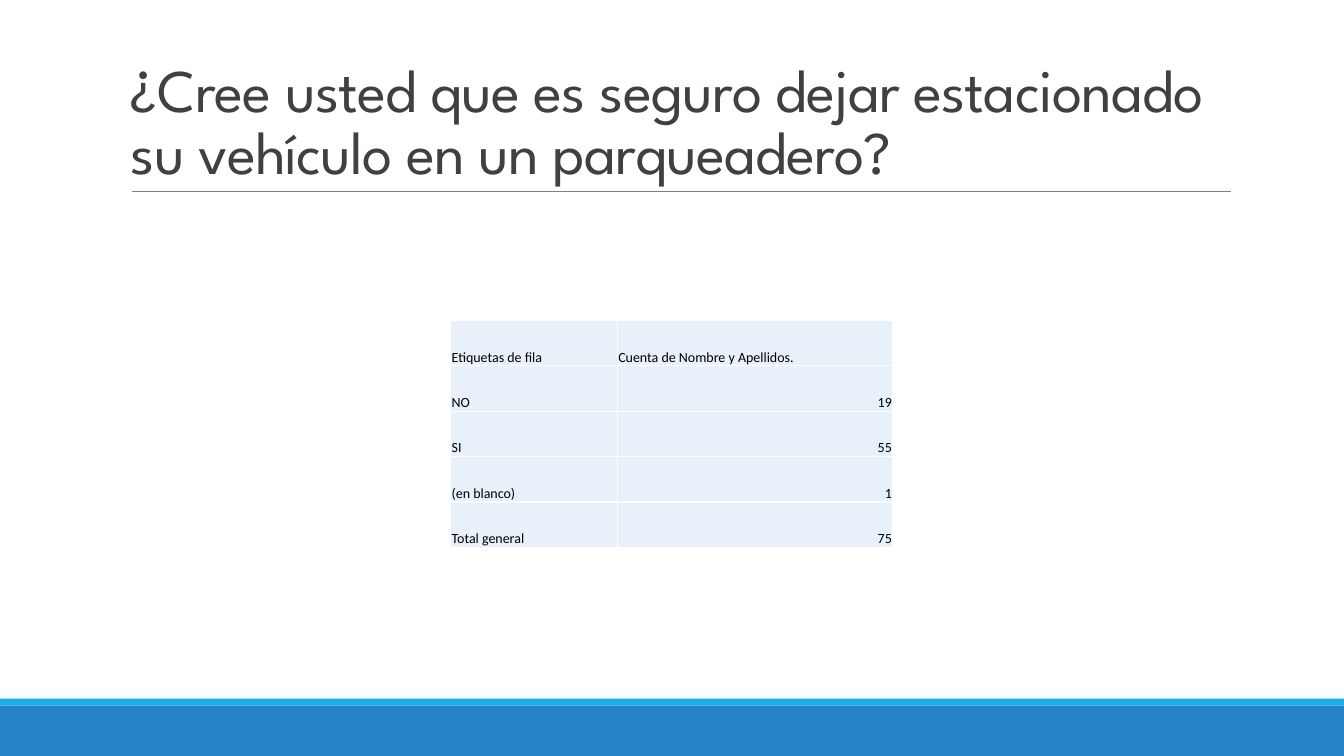
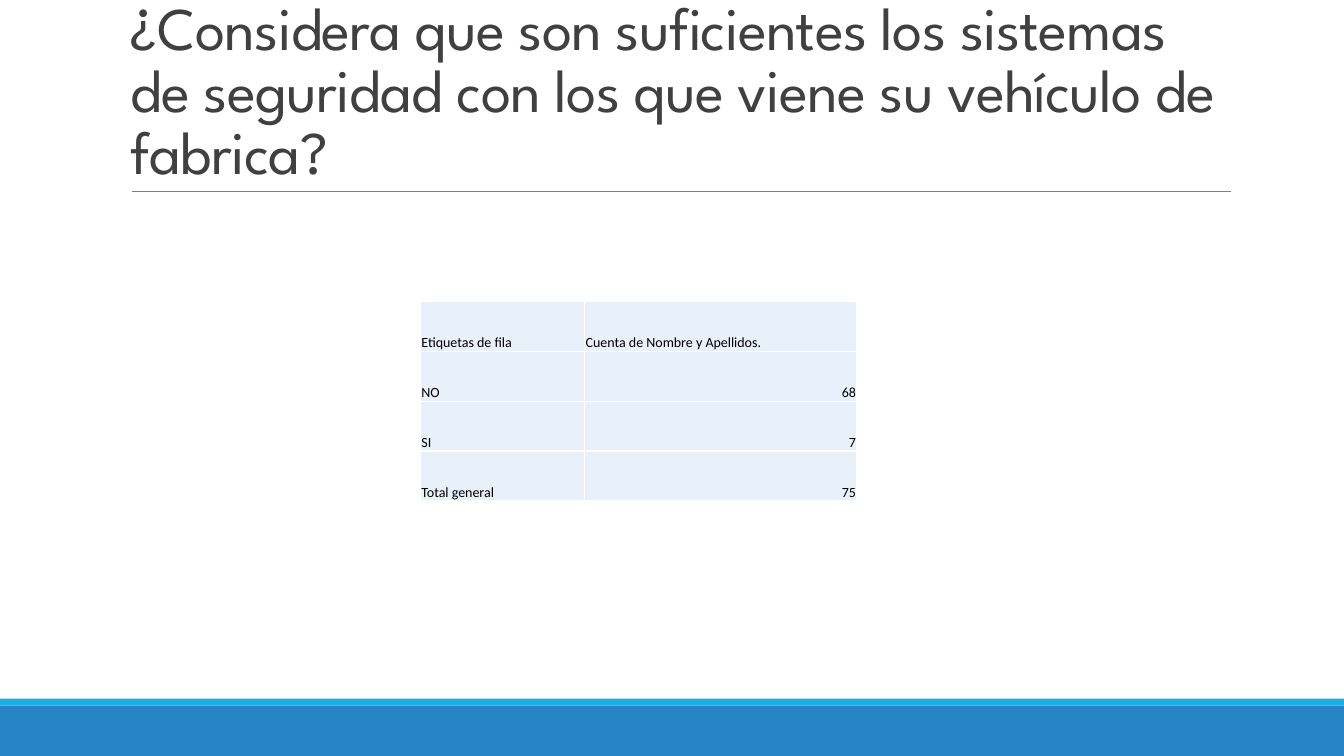
from lxml import etree
from pptx import Presentation
from pptx import util as u
from pptx.dml.color import RGBColor
from pptx.enum import shapes, text
from pptx.oxml.ns import qn

BLUE = RGBColor(0x26, 0x83, 0xC6)
CYAN = RGBColor(0x1C, 0xAD, 0xE4)
GREY = RGBColor(0x80, 0x80, 0x80)
DARK = RGBColor(0x40, 0x40, 0x40)
PALE = RGBColor(0xE8, 0xF1, 0xFA)
WHITE = RGBColor(0xFF, 0xFF, 0xFF)
BLACK = RGBColor(0, 0, 0)

deck = Presentation()
deck.slide_width = u.Inches(13.33)
deck.slide_height = u.Inches(7.5)

# Grid: one hundred columns by one hundred rows
COL = deck.slide_width / 100
ROW = deck.slide_height / 100

HEAD = ("Etiquetas de fila", "Cuenta de Nombre y Apellidos.")
PAGES = [
    dict(title="¿Cree usted que es seguro dejar estacionado su vehículo en un parqueadero?",
         left=33.53, top=42.4, cols=(12.4, 20.5), step=6,
         rows=[HEAD, ("NO", 19), ("SI", 55), ("(en blanco)", 1), ("Total general", 75)]),
    dict(title="¿Considera que son suficientes los sistemas de seguridad "
               "con los que viene su vehículo de fabrica?",
         left=31.28, top=39.87, cols=(12.23, 20.25), step=6.6,
         rows=[HEAD, ("NO", 68), ("SI", 7), ("Total general", 75)]),
]


def box(x, y, w, h):
    return [round(n) for n in (x * COL, y * ROW, w * COL, h * ROW)]


def write(frame, words, size, font, color, align=text.PP_ALIGN.LEFT, lead=1.0, track=0):
    para = frame.paragraphs[0]
    para.alignment = align
    para.line_spacing = lead
    run = para.add_run()
    run.text = words
    run.font.size = u.Pt(size)
    run.font.name = font
    run.font.bold = False
    run.font.color.rgb = color
    if track:
        run._r.get_or_add_rPr().set("spc", str(round(track * 100)))


for page in PAGES:
    slide = deck.slides.add_slide(deck.slide_layouts[6])
    parts = slide.shapes

    # Footer bands
    for y, h, color in ((93.33, 6.67, BLUE), (92.4, 0.93, CYAN)):
        band = parts.add_shape(shapes.MSO_SHAPE.RECTANGLE, *box(0, y, 100, h))
        band.shadow.inherit = False
        band.fill.solid()
        band.fill.fore_color.rgb = color
        band.line.fill.background()

    # Rule under the title
    rule = parts.add_connector(shapes.MSO_CONNECTOR.STRAIGHT,
                               *box(9.83, 25.33, 91.6, 25.33))
    rule.line.color.rgb = GREY
    rule.line.width = u.Pt(0.5)
    etree.SubElement(rule._element.spPr, qn("a:effectLst"))

    # Title
    frame = parts.add_textbox(*box(9, 4.13, 82.5, 21.2)).text_frame
    frame.word_wrap = True
    frame.vertical_anchor = text.MSO_ANCHOR.BOTTOM
    write(frame, page["title"], 43.2, "League Spartan", DARK, lead=0.85, track=-0.5)

    # Table of answers
    rows, cols, step = page["rows"], page["cols"], page["step"]
    place = box(page["left"], page["top"], sum(cols), step * len(rows))
    table = parts.add_table(len(rows), len(cols), *place).table
    table.first_row = table.horz_banding = False
    for c, width in enumerate(cols):
        table.columns[c].width = round(width * COL)
    for r, row in enumerate(rows):
        table.rows[r].height = round(step * ROW)
        for c, value in enumerate(row):
            cell = table.cell(r, c)
            cell.margin_left = cell.margin_right = cell.margin_top = u.Inches(0.01)
            cell.margin_bottom = 0
            cell.vertical_anchor = text.MSO_ANCHOR.BOTTOM
            # Borders come before the fill in the cell's XML
            props = cell._tc.get_or_add_tcPr()
            for side in ("lnL", "lnR", "lnT", "lnB"):
                edge = etree.SubElement(props, qn("a:" + side), w=str(u.Pt(1)))
                solid = etree.SubElement(edge, qn("a:solidFill"))
                etree.SubElement(solid, qn("a:srgbClr"), val=str(WHITE))
            cell.fill.solid()
            cell.fill.fore_color.rgb = PALE
            number = isinstance(value, int)
            write(cell.text_frame, str(value), 10, "Calibri", BLACK,
                  align=text.PP_ALIGN.RIGHT if number else text.PP_ALIGN.LEFT)

deck.save("out.pptx")
